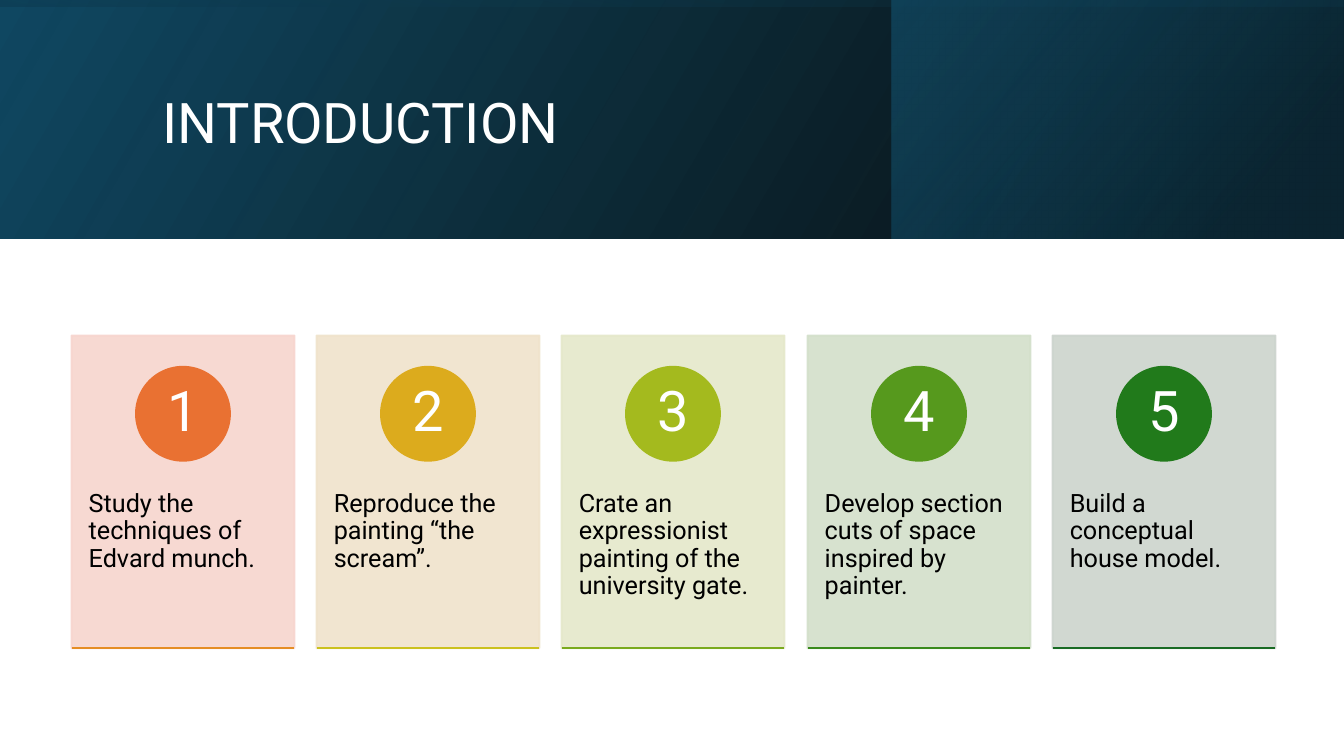
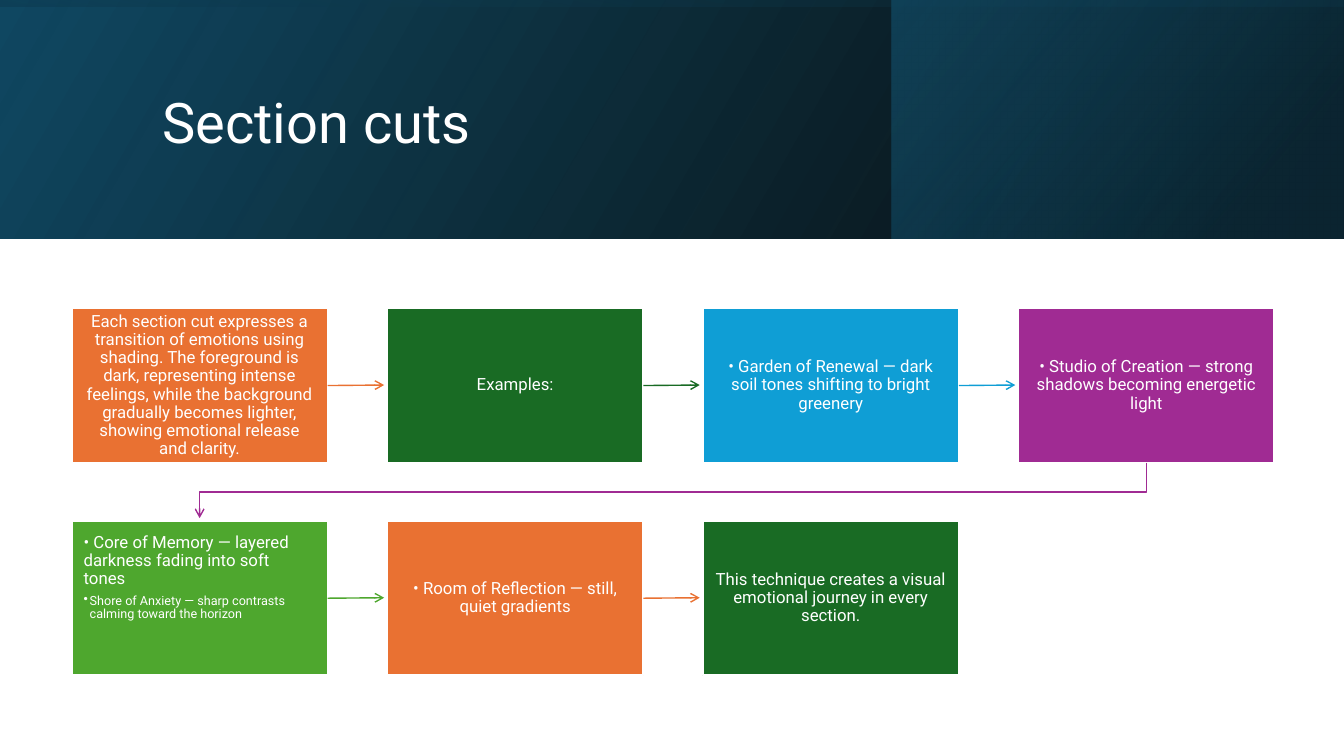
"""Build the introduction and section cuts slides of an art project deck."""
import dataclasses
import typing

import lxml.etree
import pptx
import pptx.dml.color
import pptx.enum.shapes
import pptx.enum.text
import pptx.oxml.ns
import pptx.util

PX = 9144
SLIDE_WIDTH, SLIDE_HEIGHT = 1333, 750
FONT = "Roboto"
WHITE, BLACK = "FFFFFF", "000000"
BAND_HEIGHT = 237
SHAPES = pptx.enum.shapes.MSO_SHAPE
ALIGN = pptx.enum.text.PP_ALIGN
ANCHOR = pptx.enum.text.MSO_ANCHOR


class Box(typing.NamedTuple):
    left: int
    top: int
    width: int
    height: int


class Stop(typing.NamedTuple):
    position: int
    color: str
    opacity: int


@dataclasses.dataclass
class Band:
    box: Box
    angle: int
    stops: tuple[Stop, Stop]
    rotation: int = 0


@dataclasses.dataclass
class Card:
    text: str
    tint: str
    circle: str
    rule: str


@dataclasses.dataclass
class Step:
    text: str
    color: str
    detail: str = ""


BANDS = [
    Band(Box(0, 0, SLIDE_WIDTH, BAND_HEIGHT), 330,
         (Stop(0, BLACK, 96), Stop(100, "104862", 100))),
    Band(Box(884, 0, 448, BAND_HEIGHT), 320,
         (Stop(19, "0B3041", 68), Stop(100, "156082", 48))),
    Band(Box(548, -548, BAND_HEIGHT, SLIDE_WIDTH), 350,
         (Stop(23, "104862", 16), Stop(99, BLACK, 45)), 270),
]

CARDS = [
    Card("Study the techniques of Edvard munch.", "F7D5CE", "E97132", "E58D25"),
    Card("Reproduce the painting “the scream”.", "F0E3CB", "DCAB1D", "CBC11E"),
    Card("Crate an expressionist painting of the university gate.",
         "E5E8CA", "A4BA1E", "7AAA1E"),
    Card("Develop section cuts of space inspired by painter.",
         "D3DFCA", "56991D", "398A1C"),
    Card("Build a conceptual house model.", "CCD4CD", "217A1B", "196B24"),
]

STEPS = [
    Step("Each section cut expresses a transition of emotions using shading. "
         "The foreground is dark, representing intense feelings, while the "
         "background gradually becomes lighter, showing emotional release "
         "and clarity.", "E97132"),
    Step("Examples:", "196B24"),
    Step("• Garden of Renewal — dark soil tones shifting to bright greenery",
         "0F9ED5"),
    Step("• Studio of Creation — strong shadows becoming energetic light",
         "A02B93"),
    Step("• Core of Memory — layered darkness fading into soft tones", "4EA72E",
         "Shore of Anxiety — sharp contrasts calming toward the horizon"),
    Step("• Room of Reflection — still, quiet gradients", "E97132"),
    Step("This technique creates a visual emotional journey in every section.",
         "196B24"),
]
STEPS_PER_ROW = 4


def px(length: int) -> int:
    return pptx.util.Emu(length * PX)


def rgb(value: str) -> pptx.dml.color.RGBColor:
    return pptx.dml.color.RGBColor.from_string(value)


def qualified(tag: str) -> str:
    return pptx.oxml.ns.qn(tag)


def set_opacity(shape, opacities: typing.Iterable[int]) -> None:
    colors = list(shape._element.spPr.iter(qualified("a:srgbClr")))
    for color, opacity in zip(colors, opacities):
        alpha = lxml.etree.SubElement(color, qualified("a:alpha"))
        alpha.set("val", str(opacity * 1000))


def set_line(shape, color: str, width: float) -> None:
    shape.line.color.rgb = rgb(color)
    shape.line.width = pptx.util.Pt(width)


def add_arrowhead(shape) -> None:
    line = shape._element.spPr.find(qualified("a:ln"))
    lxml.etree.SubElement(line, qualified("a:tailEnd")).set("type", "arrow")


def add_line(slide, start: tuple[int, int], end: tuple[int, int],
             color: str, width: float):
    connector = slide.shapes.add_connector(
        pptx.enum.shapes.MSO_CONNECTOR.STRAIGHT, *map(px, start + end))
    set_line(connector, color, width)
    lxml.etree.SubElement(connector._element.spPr, qualified("a:effectLst"))
    return connector


def add_filled(slide, kind, box: Box, fill: str, outline: str):
    shape = slide.shapes.add_shape(kind, *map(px, box))
    shape.shadow.inherit = False
    shape.fill.solid()
    shape.fill.fore_color.rgb = rgb(fill)
    set_line(shape, outline, 1.5)
    return shape


def format_paragraph(paragraph, size: int, color: str, alignment,
                     space_after: int = 0) -> None:
    paragraph.alignment = alignment
    paragraph.line_spacing = 0.9
    paragraph.space_after = pptx.util.Pt(space_after)
    for run in paragraph.runs:
        run.font.name = FONT
        run.font.size = pptx.util.Pt(size)
        run.font.color.rgb = rgb(color)


def set_text(shape, text: str, size: int, color: str, alignment, anchor,
             insets: tuple[int, int, int, int]) -> None:
    frame = shape.text_frame
    frame.text = text
    frame.word_wrap = True
    frame.auto_size = pptx.enum.text.MSO_AUTO_SIZE.NONE
    frame.vertical_anchor = anchor
    (frame.margin_left, frame.margin_top,
     frame.margin_right, frame.margin_bottom) = map(px, insets)
    format_paragraph(frame.paragraphs[0], size, color, alignment)


def add_detail(shape, text: str) -> None:
    shape.text_frame.paragraphs[0].space_after = pptx.util.Pt(4)
    paragraph = shape.text_frame.add_paragraph()
    paragraph.text = text
    paragraph.level = 1
    format_paragraph(paragraph, 9, WHITE, ALIGN.LEFT, 1)
    properties = paragraph._p.get_or_add_pPr()
    properties.set("marL", str(px(6)))
    properties.set("indent", str(px(-6)))
    lxml.etree.SubElement(properties, qualified("a:buChar")).set("char", "•")


def add_band(slide, band: Band) -> None:
    shape = slide.shapes.add_shape(SHAPES.RECTANGLE, *map(px, band.box))
    shape.shadow.inherit = False
    shape.line.fill.background()
    shape.rotation = band.rotation
    shape._element.spPr.find(qualified("a:xfrm")).set("flipH", "1")
    shape.fill.gradient()
    shape.fill.gradient_angle = 360 - band.angle
    for gradient_stop, stop in zip(shape.fill.gradient_stops, band.stops):
        gradient_stop.position = stop.position / 100
        gradient_stop.color.rgb = rgb(stop.color)
    set_opacity(shape, [stop.opacity for stop in band.stops])


def add_titled_slide(presentation, text: str):
    slide = presentation.slides.add_slide(presentation.slide_layouts[5])
    for band in BANDS:
        add_band(slide, band)
    title = slide.shapes.title
    title.left, title.top, title.width, title.height = map(
        px, Box(151, 38, 1063, 172))
    set_text(title, text, 40, WHITE, ALIGN.LEFT, ANCHOR.MIDDLE, (10, 5, 10, 5))
    slide.shapes._spTree.append(title._element)
    return slide


def add_card(slide, index: int, card: Card) -> None:
    box = Box(71 + round(index * 973 / 4), 333, 221, 310)
    panel = add_filled(slide, SHAPES.RECTANGLE, box, card.tint, card.tint)
    set_opacity(panel, (90, 90))
    set_text(panel, card.text, 18, BLACK, ALIGN.LEFT, ANCHOR.TOP,
             (17, 154, 17, 36))
    circle = add_filled(slide, SHAPES.OVAL, Box(box.left + 64, 364, 93, 93),
                        card.circle, card.circle)
    set_text(circle, str(index + 1), 40, WHITE, ALIGN.CENTER, ANCHOR.MIDDLE,
             (0, 0, 0, 0))
    bottom = box.top + box.height
    add_line(slide, (box.left, bottom), (box.left + box.width, bottom),
             card.rule, 1.5)


def step_box(index: int) -> Box:
    row, column = divmod(index, STEPS_PER_ROW)
    return Box(71 + 313 * column, 306 + 211 * row, 254, 153)


def add_step(slide, index: int, step: Step):
    shape = add_filled(slide, SHAPES.RECTANGLE, step_box(index), step.color, WHITE)
    alignment, anchor = ((ALIGN.LEFT, ANCHOR.TOP) if step.detail
                         else (ALIGN.CENTER, ANCHOR.MIDDLE))
    set_text(shape, step.text, 12, WHITE, alignment, anchor, (12, 13, 12, 13))
    if step.detail:
        add_detail(shape, step.detail)
    return shape


def add_step_arrow(slide, shape, index: int, color: str) -> None:
    box, following = step_box(index), step_box(index + 1)
    if box.top == following.top:
        middle = box.top + box.height // 2
        arrow = add_line(slide, (box.left + box.width, middle),
                         (following.left - 3, middle), color, 1)
        arrow.begin_connect(shape, 3)
    else:
        start, end = (item.left + item.width // 2 for item in (box, following))
        bottom = box.top + box.height
        turn = (bottom + following.top) // 2
        builder = slide.shapes.build_freeform(start, bottom, scale=PX)
        builder.add_line_segments(
            [(start, turn), (end, turn), (end, following.top - 3)], close=False)
        arrow = builder.convert_to_shape()
        arrow.shadow.inherit = False
        arrow.fill.background()
        set_line(arrow, color, 1)
    add_arrowhead(arrow)


def main() -> None:
    presentation = pptx.Presentation()
    presentation.slide_width = px(SLIDE_WIDTH)
    presentation.slide_height = px(SLIDE_HEIGHT)

    introduction = add_titled_slide(presentation, "INTRODUCTION")
    for index, card in enumerate(CARDS):
        add_card(introduction, index, card)

    section_cuts = add_titled_slide(presentation, "Section cuts")
    for index, step in enumerate(STEPS):
        shape = add_step(section_cuts, index, step)
        if index + 1 < len(STEPS):
            add_step_arrow(section_cuts, shape, index, step.color)

    presentation.save("out.pptx")


if __name__ == "__main__":
    main()
